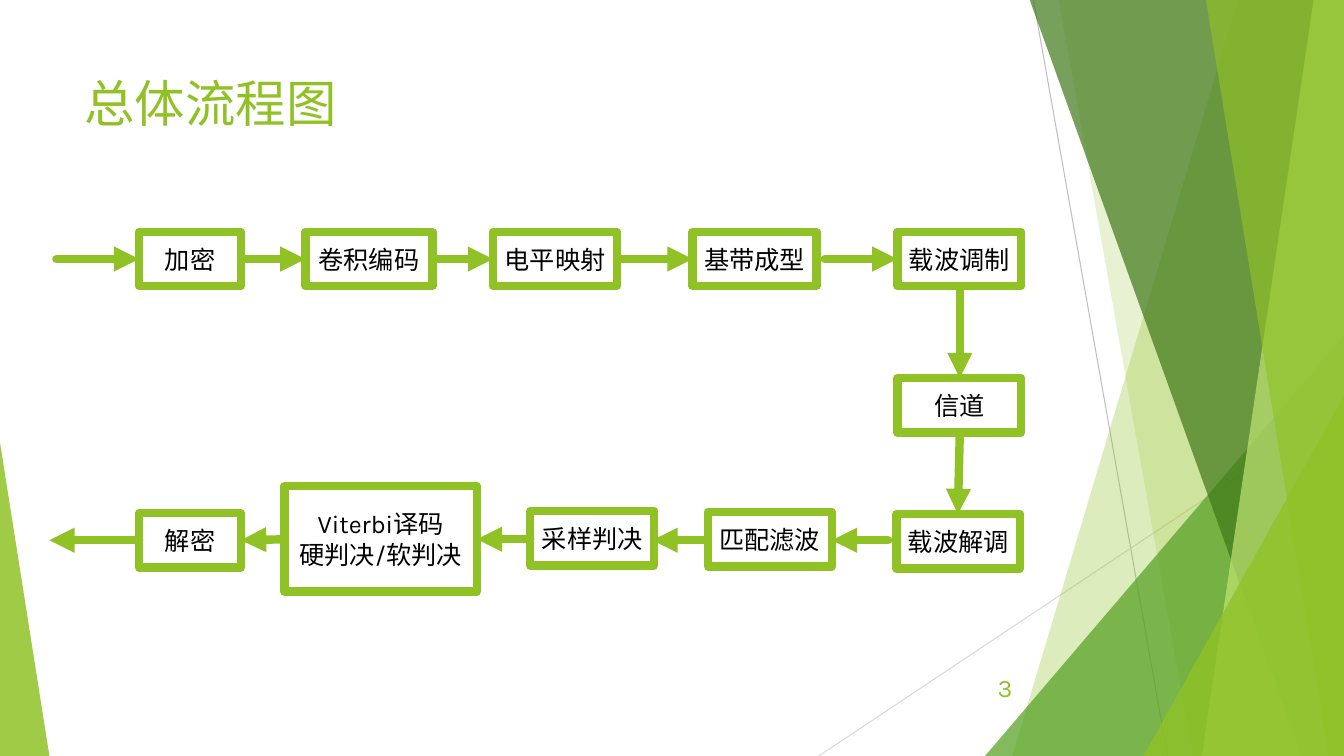
import dataclasses

import lxml.etree
import pptx
import pptx.dml.color
import pptx.enum.shapes
import pptx.enum.text
import pptx.oxml.ns
import pptx.util

Inches = pptx.util.Inches
Shape = pptx.enum.shapes.MSO_SHAPE
Align = pptx.enum.text.PP_ALIGN
Anchor = pptx.enum.text.MSO_ANCHOR
qn = pptx.oxml.ns.qn


@dataclasses.dataclass(frozen=True)
class Theme:
    font: str = "Karla"
    accent: str = "90C226"
    mid_green: str = "54A021"
    dark_green: str = "3F7819"
    light_green: str = "C0E474"
    white: str = "FFFFFF"
    black: str = "000000"
    gray: str = "BFBFBF"
    pale_gray: str = "D9D9D9"
    title_size: float = 36
    body_size: float = 18
    flow_line: float = 6
    thin_line: float = 0.75


class SlideBuilder:
    def __init__(self, slide, theme):
        self.s = slide
        self.theme = theme

    def fill(self, sp, color, alpha=100):
        sp.shadow.inherit = False
        sp.fill.solid()
        sp.fill.fore_color.rgb = pptx.dml.color.RGBColor.from_string(color)
        if alpha < 100:
            clr = sp._element.spPr.find(qn("a:solidFill"))[0]
            lxml.etree.SubElement(clr, qn("a:alpha"), val=str(alpha * 1000))

    def stroke(self, sp, color, width):
        sp.line.color.rgb = pptx.dml.color.RGBColor.from_string(color)
        sp.line.width = pptx.util.Pt(width)

    def round_ends(self, sp):
        ln = sp._element.spPr.find(qn("a:ln"))
        ln.set("cap", "rnd")
        lxml.etree.SubElement(ln, qn("a:round"))
        return ln

    def set_text(self, sp, text, size, color, align, anchor):
        tf = sp.text_frame
        tf.word_wrap = True
        tf.vertical_anchor = anchor
        tf.text = text
        for p in tf.paragraphs:
            p.alignment = align
            for r in p.runs:
                r.font.size = pptx.util.Pt(size)
                r.font.name = self.theme.font
                r.font.color.rgb = pptx.dml.color.RGBColor.from_string(color)
                lxml.etree.SubElement(r._r.rPr, qn("a:ea"), typeface=self.theme.font)

    def facet(self, points, color, alpha):
        corners = [(Inches(x), Inches(y)) for x, y in points]
        builder = self.s.shapes.build_freeform(*corners[0])
        builder.add_line_segments(corners[1:], close=True)
        sp = builder.convert_to_shape()
        self.fill(sp, color, alpha)
        sp.line.fill.background()

    def triangle(self, at, apex, color, alpha):
        sp = self.s.shapes.add_shape(Shape.ISOSCELES_TRIANGLE, *map(Inches, at))
        sp.adjustments[0] = apex
        self.fill(sp, color, alpha)
        sp.line.fill.background()

    def text(self, at, text, size, align, anchor):
        sp = self.s.shapes.add_textbox(*map(Inches, at))
        self.set_text(sp, text, size, self.theme.accent, align, anchor)

    def box(self, at, text):
        sp = self.s.shapes.add_shape(Shape.RECTANGLE, *map(Inches, at))
        self.fill(sp, self.theme.white)
        self.stroke(sp, self.theme.accent, self.theme.flow_line)
        self.round_ends(sp)
        self.set_text(sp, text, self.theme.body_size, self.theme.black,
                      Align.CENTER, Anchor.MIDDLE)

    def line(self, ends, color, width, arrow=False):
        sp = self.s.shapes.add_connector(
            pptx.enum.shapes.MSO_CONNECTOR.STRAIGHT, *map(Inches, ends))
        self.stroke(sp, color, width)
        if arrow:
            ln = self.round_ends(sp)
            lxml.etree.SubElement(ln, qn("a:tailEnd"), type="triangle")
        lxml.etree.SubElement(sp._element.spPr, qn("a:effectLst"))

    def arrow(self, ends):
        self.line(ends, self.theme.accent, self.theme.flow_line, arrow=True)


def draw_background(b):
    t = b.theme
    right, top, bottom = 13.33, -0.01, 7.5

    def band(top_x, bottom_x, color, alpha):
        b.facet([(top_x, top), (right, top), (right, bottom), (bottom_x, bottom)],
                color, alpha)

    b.line((10.25, 0, 11.58, bottom), t.gray, t.thin_line)
    b.line((right, 4.03, 8.12, bottom), t.pale_gray, t.thin_line)
    band(12.28, 10.04, t.accent, 30)
    band(10.5, 11.83, t.accent, 20)
    b.triangle((9.77, 3.33, 3.56, 4.17), 1, t.mid_green, 72)
    band(10.21, 12.91, t.dark_green, 70)
    band(13.03, 11.92, t.light_green, 70)
    band(11.96, 13.18, t.accent, 65)
    b.triangle((11.34, 3.93, 1.99, 3.57), 1, t.accent, 80)
    b.triangle((0, 4.39, 0.49, 3.11), 0, t.accent, 85)


def draw_flow(b):
    box_h, narrow, wide = 0.54, 1.01, 1.23
    send_y, send_mid = 2.3, 2.57
    receive_mid = 5.36

    steps = [
        ("加密", 1.38, send_y, narrow),
        ("卷积编码", 3.03, send_y, 1.26),
        ("电平映射", 4.89, send_y, wide),
        ("基带成型", 6.87, send_y, wide),
        ("载波调制", 8.9, send_y, wide),
        ("信道", 8.9, 3.75, wide),
        ("载波解调", 8.89, 5.1, wide),
        ("匹配滤波", 7.02, 5.08, wide),
        ("采样判决", 5.26, 5.07, wide),
        ("解密", 1.38, 5.09, narrow),
    ]
    for label, x, y, w in steps:
        b.box((x, y, w, box_h), label)
    b.box((2.82, 4.82, 1.91, 1.05), "Viterbi译码\n硬判决/软判决")

    for x1, x2 in [(0.56, 1.38), (2.39, 3.03), (4.29, 4.89), (6.15, 6.87), (8.18, 8.9)]:
        b.arrow((x1, send_mid, x2, send_mid))
    b.arrow((9.52, 2.85, 9.52, 3.75))
    b.arrow((9.52, 4.29, 9.5, 5.1))
    for x1, x2 in [(8.81, 8.25), (7.02, 6.47), (1.38, 0.49)]:
        b.arrow((x1, receive_mid, x2, receive_mid))
    b.arrow((5.26, 5.35, 4.73, 5.35))
    b.arrow((2.82, 5.35, 2.39, receive_mid))


def main():
    prs = pptx.Presentation()
    prs.slide_width, prs.slide_height = Inches(13.33), Inches(7.5)
    theme = Theme()
    b = SlideBuilder(prs.slides.add_slide(prs.slide_layouts[6]), theme)
    draw_background(b)
    b.text((0.74, 0.67, 9.4, 1.44), "总体流程图", theme.title_size,
           Align.LEFT, Anchor.TOP)
    b.text((8.49, 6.56, 1.65, 0.52), "3", theme.body_size,
           Align.RIGHT, Anchor.MIDDLE)
    draw_flow(b)
    prs.save("out.pptx")


if __name__ == "__main__":
    main()
